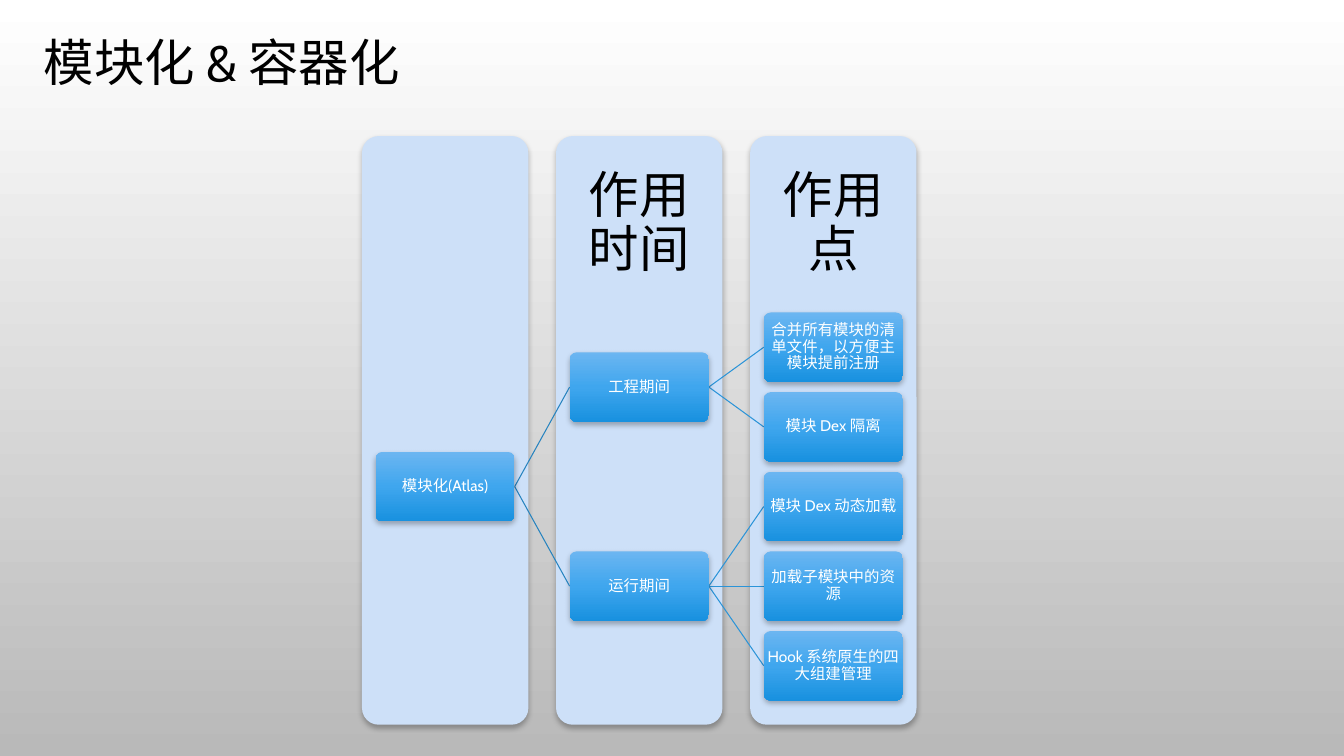
from copy import deepcopy

from lxml.etree import SubElement
from pptx import Presentation
from pptx.dml.color import RGBColor
from pptx.enum.shapes import MSO_CONNECTOR as Connector, MSO_SHAPE as Shape
from pptx.enum.text import MSO_ANCHOR as Anchor, PP_ALIGN as Align
from pptx.oxml.ns import qn
from pptx.util import Inches, Pt

COLOURS = {
    "page_top": "FFFFFF", "page_bottom": "B9B9B9", "column": "CDE0F8",
    "card_top": "6CB6F1", "card_middle": "3FA6EE", "card_bottom": "1891DF",
    "root_line": "2683BF", "branch_line": "2B94D8",
    "dark": "000000", "light": "FFFFFF",
}
FONT = "Cabin"
HEADERS = ["", "作用时间", "作用点"]
ROOT = "模块化(Atlas)"
BRANCHES = {
    "工程期间": ["合并所有模块的清单文件，以方便主模块提前注册", "模块 Dex 隔离"],
    "运行期间": ["模块 Dex 动态加载", "加载子模块中的资源", "Hook 系统原生的四大组建管理"],
}
COLUMN_PITCH, COLUMN_WIDTH, HEADER_HEIGHT = 1.925, 1.65, 1.75
CARD_WIDTH, CARD_HEIGHT, CARD_PITCH = 1.38, 0.69, 0.79


def colour(name):
    return RGBColor.from_string(COLOURS[name])


def write(shape, text, size, ink, inset):
    frame = shape.text_frame
    frame.word_wrap = True
    frame.vertical_anchor = Anchor.MIDDLE
    frame.margin_left = frame.margin_right = Inches(inset)
    frame.margin_top = frame.margin_bottom = Inches(inset)
    para = frame.paragraphs[0]
    para.alignment = Align.CENTER
    para.line_spacing = 0.9
    span = para.add_run()
    span.text = text
    span.font.name = FONT
    span.font.size = Pt(size)
    span.font.color.rgb = colour(ink)


def add_text(page, box, text, inset):
    shape = page.shapes.add_textbox(*map(Inches, box))
    write(shape, text, 36, "dark", inset)


def fade(fill, top, bottom):
    fill.gradient()
    fill.gradient_angle = 270
    for stop, name, position in zip(fill.gradient_stops, (top, bottom), (0, 1)):
        stop.color.rgb = colour(name)
        stop.position = position


def add_panel(page, box):
    panel = page.shapes.add_shape(Shape.ROUNDED_RECTANGLE, *map(Inches, box))
    panel.adjustments[0] = 0.1
    panel.line.fill.background()
    panel.shadow.inherit = False
    effects = panel._element.spPr.find(qn("a:effectLst"))
    shadow = SubElement(effects, qn("a:outerShdw"), blurRad=str(Pt(4)),
                        dist=str(Pt(2)), dir="5400000", rotWithShape="0")
    black = SubElement(shadow, qn("a:srgbClr"), val=COLOURS["dark"])
    SubElement(black, qn("a:alpha"), val="28000")
    return panel


def add_column(page, box, header):
    panel = add_panel(page, box)
    panel.fill.solid()
    panel.fill.fore_color.rgb = colour("column")
    if header:
        left, top, width, _ = box
        add_text(page, (left, top, width, HEADER_HEIGHT), header, 0.28)


def add_card(page, left, middle, text):
    card = add_panel(page, (left, middle - CARD_HEIGHT / 2, CARD_WIDTH, CARD_HEIGHT))
    fade(card.fill, "card_top", "card_bottom")
    stops = card._element.spPr.find(".//" + qn("a:gsLst"))
    centre = deepcopy(stops[0])
    centre.set("pos", "50000")
    centre[0].set("val", COLOURS["card_middle"])
    stops.insert(1, centre)
    write(card, text, 11, "light", 0.01)


def add_link(page, left, start, end, ink):
    right = left + COLUMN_PITCH
    link = page.shapes.add_connector(
        Connector.STRAIGHT, *map(Inches, (left + CARD_WIDTH, start, right, end)))
    link.line.color.rgb = colour(ink)
    link.line.width = Pt(0.75)
    SubElement(link._element.spPr, qn("a:effectLst"))


def add_tree(page, box):
    left, top, _, height = box
    for index, header in enumerate(HEADERS):
        add_column(page, (left + index * COLUMN_PITCH, top, COLUMN_WIDTH, height), header)

    root_left, branch_left, leaf_left = [
        left + (COLUMN_WIDTH - CARD_WIDTH) / 2 + index * COLUMN_PITCH for index in range(3)]
    leaf_middle = top + HEADER_HEIGHT + CARD_HEIGHT / 2
    branch_middles = []
    for branch, leaves in BRANCHES.items():
        leaf_middles = [leaf_middle + index * CARD_PITCH for index in range(len(leaves))]
        branch_middle = sum(leaf_middles) / len(leaves)
        for leaf, middle in zip(leaves, leaf_middles):
            add_link(page, branch_left, branch_middle, middle, "branch_line")
            add_card(page, leaf_left, middle, leaf)
        add_card(page, branch_left, branch_middle, branch)
        branch_middles.append(branch_middle)
        leaf_middle += len(leaves) * CARD_PITCH

    root_middle = sum(branch_middles) / len(branch_middles)
    for middle in branch_middles:
        add_link(page, root_left, root_middle, middle, "root_line")
    add_card(page, root_left, root_middle, ROOT)


def main():
    deck = Presentation()
    deck.slide_width, deck.slide_height = Inches(13.33), Inches(7.5)
    page = deck.slides.add_slide(deck.slide_layouts[6])
    fade(page.background.fill, "page_top", "page_bottom")
    add_text(page, (0.26, 0.3, 3.88, 0.7), "模块化 & 容器化", 0.1)
    add_tree(page, (3.59, 1.35, 5.5, 5.84))
    deck.save("out.pptx")


if __name__ == "__main__":
    main()
